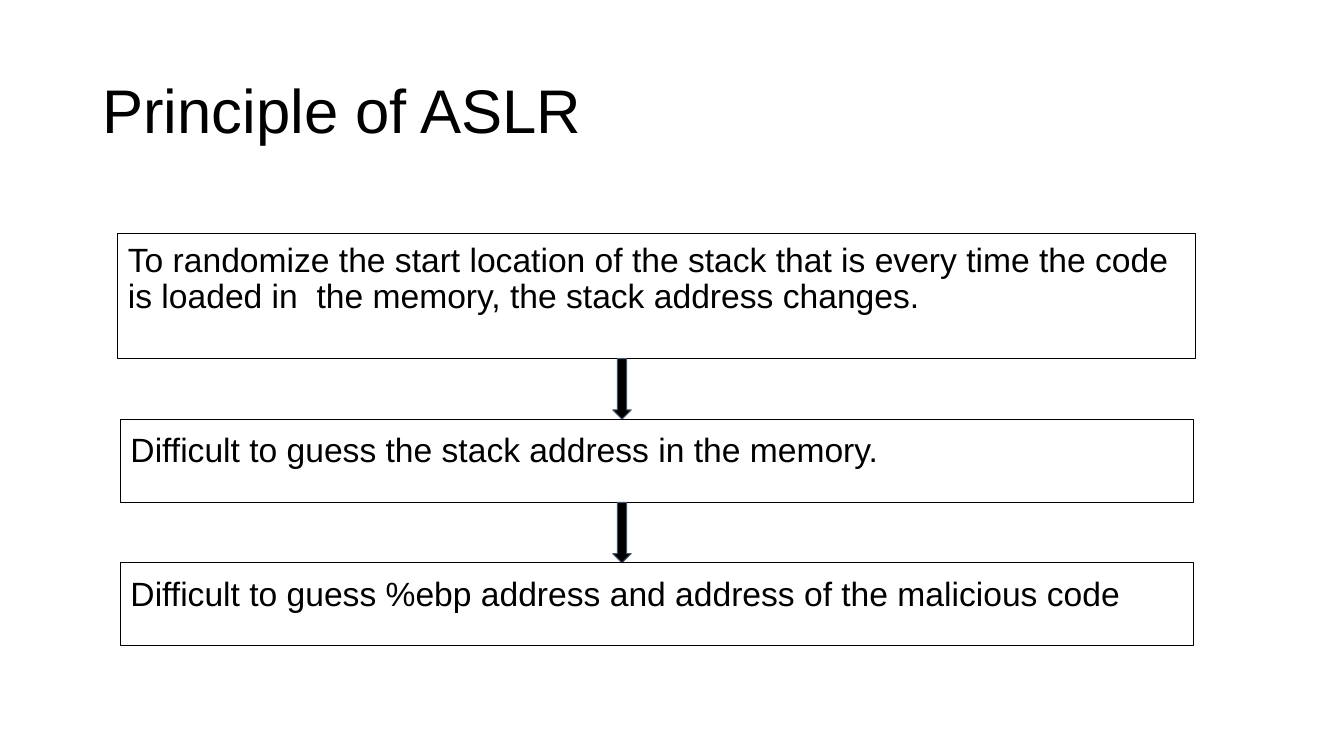
import pptx
import pptx.util
import pptx.dml.color
import pptx.enum.shapes
import pptx.enum.text

COLORS = {"ink": "000000", "arrow edge": "44546A"}
SHAPES = pptx.enum.shapes.MSO_SHAPE
ANCHORS = pptx.enum.text.MSO_ANCHOR
COLUMNS, ROWS = 160, 90


class FlowSlide:
    """Holds the style and the current slide; places parts on the grid."""

    font = "Arial"
    inset = pptx.util.Inches(0.1)
    line_width = pptx.util.Pt(0.75)

    def __init__(self, deck):
        self.slide = deck.slides.add_slide(deck.slide_layouts[6])
        self.column = deck.slide_width / COLUMNS
        self.row = deck.slide_height / ROWS

    def place(self, left, top, width, height):
        return (round(left * self.column), round(top * self.row),
                round(width * self.column), round(height * self.row))

    def color(self, name):
        return pptx.dml.color.RGBColor.from_string(COLORS[name])

    def add_words(self, frame, words, size, anchor, spacing):
        frame.word_wrap = True
        frame.vertical_anchor = anchor
        frame.margin_left = frame.margin_right = self.inset
        frame.margin_top = frame.margin_bottom = self.inset
        paragraph = frame.paragraphs[0]
        paragraph.alignment = pptx.enum.text.PP_ALIGN.LEFT
        paragraph.line_spacing = spacing
        run = paragraph.add_run()
        run.text = words
        run.font.name = self.font
        run.font.size = pptx.util.Pt(size)
        run.font.color.rgb = self.color("ink")

    def shape(self, kind, area, edge, fill=None):
        shape = self.slide.shapes.add_shape(kind, *self.place(*area))
        shape.shadow.inherit = False
        shape.line.color.rgb = self.color(edge)
        shape.line.width = self.line_width
        if fill:
            shape.fill.solid()
            shape.fill.fore_color.rgb = self.color(fill)
        else:
            shape.fill.background()
        return shape

    def title(self, words, area):
        box = self.slide.shapes.add_textbox(*self.place(*area))
        self.add_words(box.text_frame, words, 44, ANCHORS.MIDDLE, 0.9)

    def step(self, words, area, spacing):
        box = self.shape(SHAPES.RECTANGLE, area, "ink")
        self.add_words(box.text_frame, words, 24, ANCHORS.TOP, spacing)

    def arrow(self, area):
        self.shape(SHAPES.DOWN_ARROW, area, "arrow edge", "ink")


deck = pptx.Presentation()
deck.slide_width = pptx.util.Inches(13.33)
deck.slide_height = pptx.util.Inches(7.5)
aslr = FlowSlide(deck)

# Heading
aslr.title("Principle of ASLR", (11, 4.8, 138, 17.4))

# Steps from cause to effect: words, width, height, line spacing
steps = [
    ("To randomize the start location of the stack that is every time the code "
     "is loaded in  the memory, the stack address changes.", 128.3, 14.9, 0.9),
    ("Difficult to guess the stack address in the memory.", 127.7, 9.9, 1.0),
    ("Difficult to guess %ebp address and address of the malicious code",
     127.7, 9.9, 1.0),
]
step_center, arrow_center = 78.2, 74.05
arrow_width, arrow_height = 2.2, 7.2

# Each step sits one arrow below the step before it
top = 27.8
for number, (words, width, height, spacing) in enumerate(steps):
    if number:
        aslr.arrow((arrow_center - arrow_width / 2, top, arrow_width, arrow_height))
        top += arrow_height
    aslr.step(words, (step_center - width / 2, top, width, height), spacing)
    top += height

deck.save("out.pptx")
